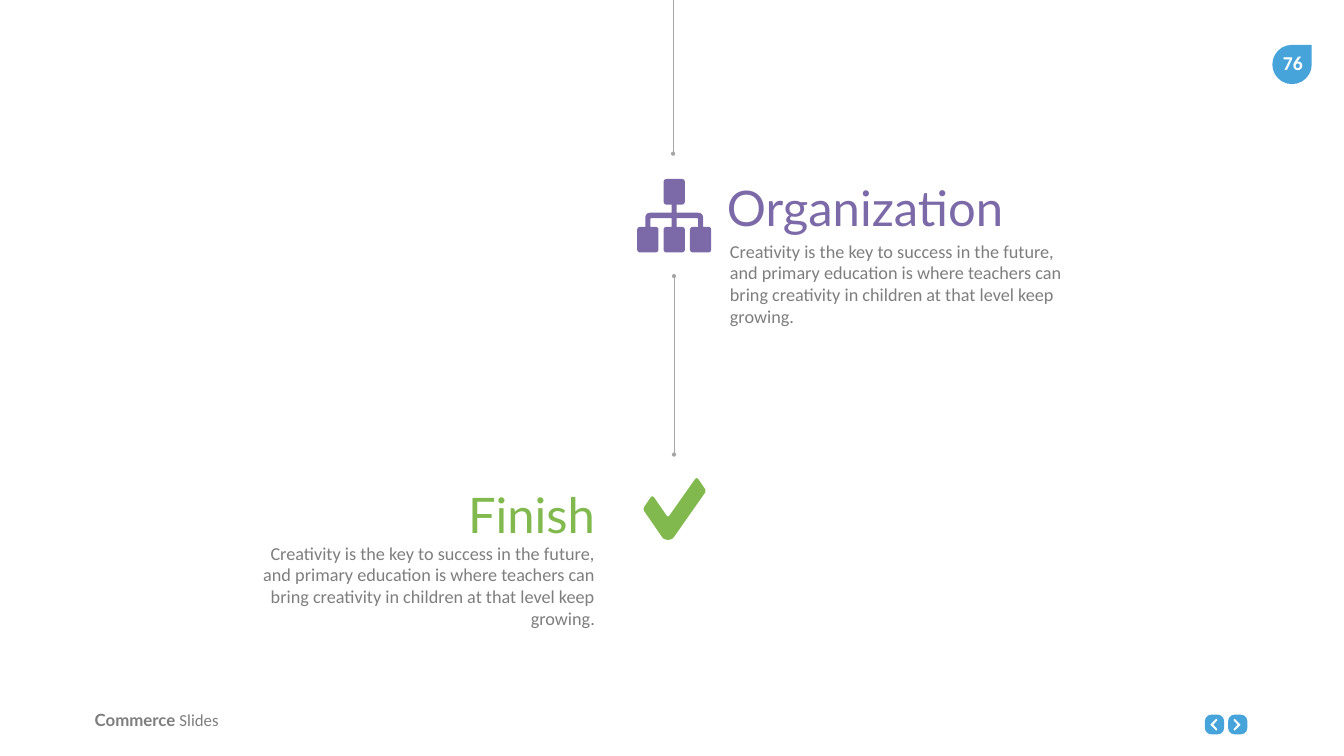
"""Build the closing milestones slide of a timeline."""
import math

import pptx
import pptx.dml.color
import pptx.enum.shapes
import pptx.enum.text
import pptx.oxml.xmlchemy
import pptx.util

WIDE, HIGH = pptx.util.Inches(26.66), pptx.util.Inches(15)
BLUE, PURPLE, GREEN = "46A4DB", "7C69A8", "81B94F"
GREY, RULE, WHITE = "7E7E7E", "A6A6A6", "FFFFFF"
SHAPE = pptx.enum.shapes.MSO_SHAPE
ALIGN = pptx.enum.text.PP_ALIGN
ANCHOR = pptx.enum.text.MSO_ANCHOR
FIT = pptx.enum.text.MSO_AUTO_SIZE
NOTE = ("Creativity is the key to success in the future, and primary education is where "
        "teachers can bring creativity in children at that level keep growing.")
HALF = [(21, 0, 7), (21, 51, 7), (5, 51, 0), (5, 67, 0), (57, 67, 11), (57, 95, 0),
        (73, 95, 7), (73, 146, 7), (31, 146, 7), (31, 95, 7), (47, 95, 0), (47, 78, 2),
        (5, 78, 0), (5, 95, 0), (21, 95, 7), (21, 146, 7)]
TREE = ([(73 + x, y, cut) for x, y, cut in HALF]
        + [(73 - x, y, cut) for x, y, cut in reversed(HALF)])
TICK = [(-2, 60, 6), (17, 32, 7), (48, 77, 5), (105, -4, 7), (124, 24, 6),
        (56, 121, 7), (40, 121, 7)]
NEXT = [(2, 0, 1), (14, 12, 1), (2, 24, 1), (0, 21, 1), (8, 12, 0), (0, 3, 1)]
BACK = [(14 - x, y, cut) for x, y, cut in NEXT]


def tint(code):
    """Turn a hex string into a colour."""
    return pptx.dml.color.RGBColor.from_string(code)


def across(share):
    """Turn a percentage of the slide's width into a length."""
    return round(WIDE * share / 100)


def down(share):
    """Turn a percentage of the slide's height into a length."""
    return round(HIGH * share / 100)


def place(box):
    """Turn a box of percentages into left, top, width and height."""
    left, top, width, height = box
    return across(left), down(top), across(width), down(height)


def paint(shape, code):
    """Give a shape a flat fill without outline or shadow."""
    shape.shadow.inherit = False
    shape.fill.solid()
    shape.fill.fore_color.rgb = tint(code)
    shape.line.fill.background()


def style(font, name, size, code, bold=False):
    """Set the face, size, colour and weight of a font."""
    font.name, font.size, font.bold = name, pptx.util.Pt(size), bold
    font.color.rgb = tint(code)


def soften(points):
    """Cut each corner and replace it with a short curve."""
    curve = []
    for i, (x, y, cut) in enumerate(points):
        if not cut:
            curve.append((x, y))
            continue
        ends = []
        for px, py, _ in (points[i - 1], points[(i + 1) % len(points)]):
            share = cut / math.dist((x, y), (px, py))
            ends.append((x + (px - x) * share, y + (py - y) * share))
        (ax, ay), (bx, by) = ends
        for step in range(7):
            t = step / 6
            u = 1 - t
            curve.append((u * u * ax + 2 * u * t * x + t * t * bx,
                          u * u * ay + 2 * u * t * y + t * t * by))
    return curve


def icon(slide, box, grid, points, code):
    """Draw a soft-cornered outline on a grid that fills the box."""
    left, top, width, height = place(box)
    cols, rows = grid
    spots = [(left + width * x / cols, top + height * y / rows) for x, y in soften(points)]
    pen = slide.shapes.build_freeform(*spots[0], scale=1.0)
    pen.add_line_segments(spots[1:], close=True)
    paint(pen.convert_to_shape(), code)


def fill(shape, box, text, face, size, code, align, anchor):
    """Place a text shape and write one styled paragraph in it."""
    shape.left, shape.top, shape.width, shape.height = place(box)
    frame = shape.text_frame
    frame.word_wrap, frame.auto_size = True, FIT.NONE
    frame.vertical_anchor = anchor
    frame.margin_left = frame.margin_right = across(0.75)
    frame.margin_top = frame.margin_bottom = down(0.67)
    para = frame.paragraphs[0]
    para.text, para.alignment = text, align
    para.space_before = pptx.util.Pt(0)
    style(para.font, face, size, code)


def stage(head, note, tops, box, title, align, code):
    """Fill a heading and its note, both flush with one side of the box."""
    left, width, inner = box
    shift = width - inner if align == ALIGN.RIGHT else 0.22
    fill(head, (left, tops[0], width, 8.6), title, "Lato", 70, code, align, ANCHOR.MIDDLE)
    fill(note, (left + shift, tops[1], inner, 14), NOTE, "Calibri", 26, GREY,
         align, ANCHOR.TOP)


def rail(slide, x, start, end, tail):
    """Draw an upright thin line with dots at its ends."""
    line = slide.shapes.add_connector(pptx.enum.shapes.MSO_CONNECTOR.STRAIGHT,
                                      across(x), down(start), across(x), down(end))
    line.line.color.rgb = tint(RULE)
    line.line.width = pptx.util.Pt(0.5)
    stroke = line.line._get_or_add_ln()
    make = pptx.oxml.xmlchemy.OxmlElement
    for tag in ("a:headEnd", "a:tailEnd") if tail else ("a:headEnd",):
        dot = make(tag)
        dot.set("type", "oval")
        stroke.append(dot)
    line._element.spPr.append(make("a:effectLst"))


def badge(slide, box):
    """Draw the page number on its drop."""
    paint(slide.shapes.add_shape(SHAPE.TEAR, *place(box)), BLUE)
    left, top, width, _ = box
    label = slide.shapes.add_textbox(0, 0, 0, 0)
    fill(label, (left - 0.11, top + 0.07, width + 0.33, 4.47), "76", "Calibri", 28, WHITE,
         ALIGN.CENTER, ANCHOR.TOP)
    label.text_frame.word_wrap = False
    label.text_frame.paragraphs[0].font.bold = True


def footer(slide, box):
    """Write the deck's name."""
    frame = slide.shapes.add_textbox(*place(box)).text_frame
    frame.word_wrap = True
    for text, face, bold in (("Commerce ", "Lato", True), ("Slides", "Calibri", False)):
        run = frame.paragraphs[0].add_run()
        run.text = text
        style(run.font, face, 24, GREY, bold)


def pager(slide, box):
    """Draw the back and next buttons."""
    left, top, width, height = box
    for i, points in enumerate((BACK, NEXT)):
        x = left + 1.73 * i
        key = slide.shapes.add_shape(SHAPE.ROUNDED_RECTANGLE, *place((x, top, width, height)))
        key.adjustments[0] = 0.33
        paint(key, BLUE)
        icon(slide, (x + 0.4, top + 0.53, 0.53, 1.6), (14, 24), points, WHITE)


def main():
    """Assemble and save the slide."""
    deck = pptx.Presentation()
    deck.slide_width, deck.slide_height = WIDE, HIGH
    slide = deck.slides.add_slide(deck.slide_layouts[4])
    slots = {slot.placeholder_format.idx: slot for slot in slide.placeholders}
    for idx in (2, 4):
        slots[idx]._element.getparent().remove(slots[idx]._element)
    pager(slide, (89.65, 94.53, 1.43, 2.6))
    badge(slide, (94.67, 5.93, 2.93, 5.2))
    footer(slide, (6.68, 93.6, 15, 3.33))
    stage(slots[0], slots[1], (23.13, 31.07), (53.34, 31.55, 26.78),
          "Organization", ALIGN.LEFT, PURPLE)
    stage(slide.shapes.add_textbox(0, 0, 0, 0), slots[3], (63.73, 71),
          (13.47, 31.55, 26.78), "Finish", ALIGN.RIGHT, GREEN)
    rail(slide, 50.15, 36.53, 60.13, True)
    rail(slide, 50.08, 20.33, 0, False)
    icon(slide, (47.41, 23.67, 5.51, 9.73), (146, 146), TREE, PURPLE)
    icon(slide, (47.9, 63.33, 4.54, 8.07), (121, 121), TICK, GREEN)
    deck.save("out.pptx")


if __name__ == "__main__":
    main()
